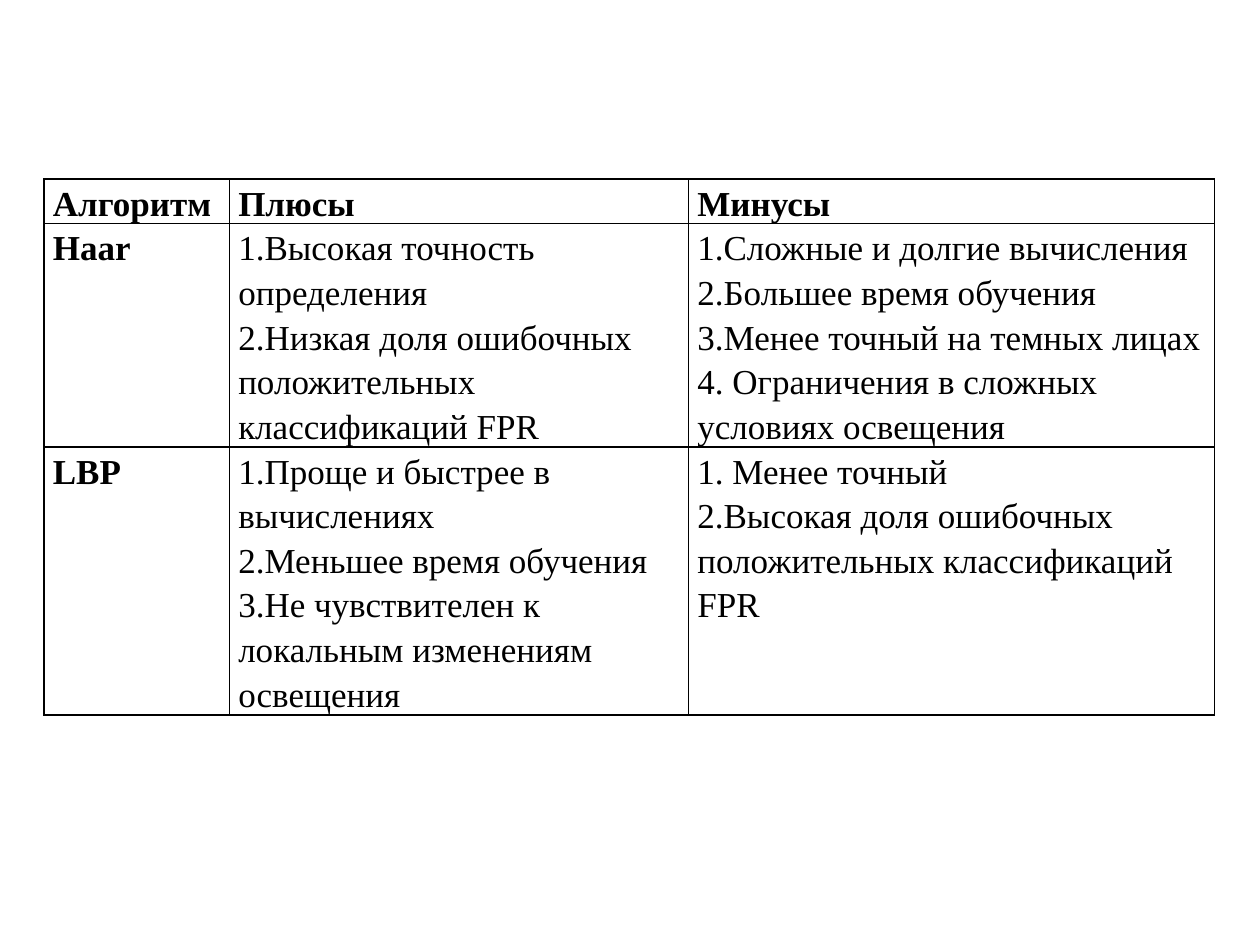
from lxml.etree import SubElement
from pptx import Presentation
from pptx.dml.color import RGBColor
from pptx.oxml.ns import qn
from pptx.util import Inches, Pt

COLORS = {"ink": "000000", "paper": "FFFFFF"}
FONT = "Times New Roman"
COL_WIDTHS = [1.47, 3.64, 4.17]
ROW_HEIGHTS = [0.35, 1.75, 1.75]
ROWS = [
    [["Алгоритм"], ["Плюсы"], ["Минусы"]],
    [
        ["Haar"],
        ["1.Высокая точность определения",
         "2.Низкая доля ошибочных положительных классификаций FPR"],
        ["1.Сложные и долгие вычисления",
         "2.Большее время обучения",
         "3.Менее точный на темных лицах",
         "4. Ограничения в сложных условиях освещения"],
    ],
    [
        ["LBP"],
        ["1.Проще и быстрее в вычислениях",
         "2.Меньшее время обучения",
         "3.Не чувствителен к локальным изменениям освещения"],
        ["1. Менее точный",
         "2.Высокая доля ошибочных положительных классификаций FPR"],
    ],
]


def set_borders(cell):
    """Draw a thin line on all four sides of a cell."""
    tcPr = cell._tc.get_or_add_tcPr()
    for i, side in enumerate(("lnL", "lnR", "lnT", "lnB")):
        ln = SubElement(tcPr, qn(f"a:{side}"), w=str(Pt(1)))
        fill = SubElement(ln, qn("a:solidFill"))
        SubElement(fill, qn("a:srgbClr"), val=COLORS["ink"])
        tcPr.insert(i, ln)


def fill_cell(cell, lines, bold):
    """Write one paragraph per line and style the cell."""
    cell.margin_left = cell.margin_right = Inches(0.07)
    cell.margin_top = cell.margin_bottom = 0
    cell.fill.solid()
    cell.fill.fore_color.rgb = RGBColor.from_string(COLORS["paper"])
    set_borders(cell)
    tf = cell.text_frame
    tf.text = "\n".join(lines)
    for p in tf.paragraphs:
        p.line_spacing = 1.15
        for r in p.runs:
            r.font.name = FONT
            r.font.size = Pt(20)
            r.font.bold = bold
            r.font.color.rgb = RGBColor.from_string(COLORS["ink"])


def add_comparison_table(s, left, top, width, height):
    """Place the table of algorithms with their pros and cons."""
    shape = s.shapes.add_table(len(ROWS), len(COL_WIDTHS), left, top, width, height)
    table = shape.table
    for col, w in zip(table.columns, COL_WIDTHS):
        col.width = int(width * w / sum(COL_WIDTHS))
    for row, h in zip(table.rows, ROW_HEIGHTS):
        row.height = int(height * h / sum(ROW_HEIGHTS))
    for i, row in enumerate(ROWS):
        for j, lines in enumerate(row):
            fill_cell(table.cell(i, j), lines, bold=i == 0 or j == 0)


def main():
    """Build and save the slide."""
    prs = Presentation()
    prs.slide_width, prs.slide_height = Inches(10), Inches(7.5)
    s = prs.slides.add_slide(prs.slide_layouts[6])
    add_comparison_table(s, Inches(0.35), Inches(1.42), Inches(9.29), Inches(3.85))
    prs.save("out.pptx")


if __name__ == "__main__":
    main()
